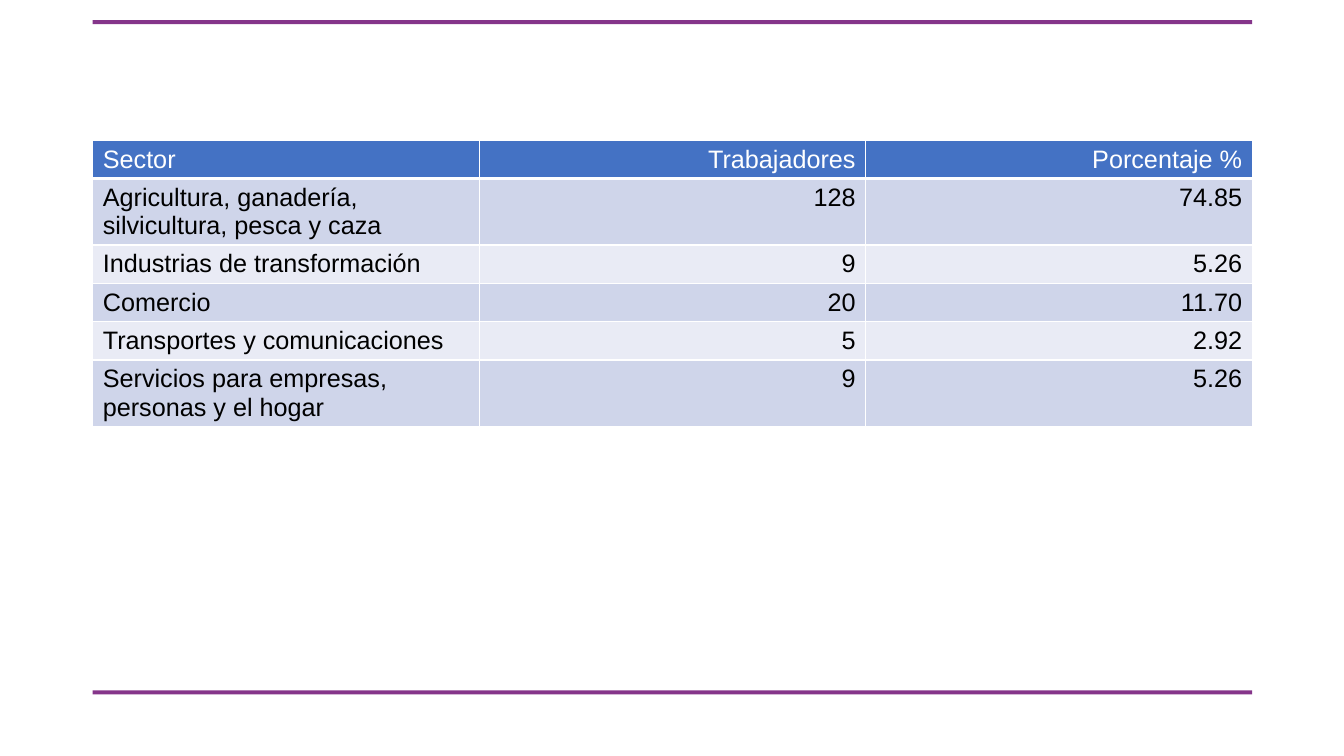
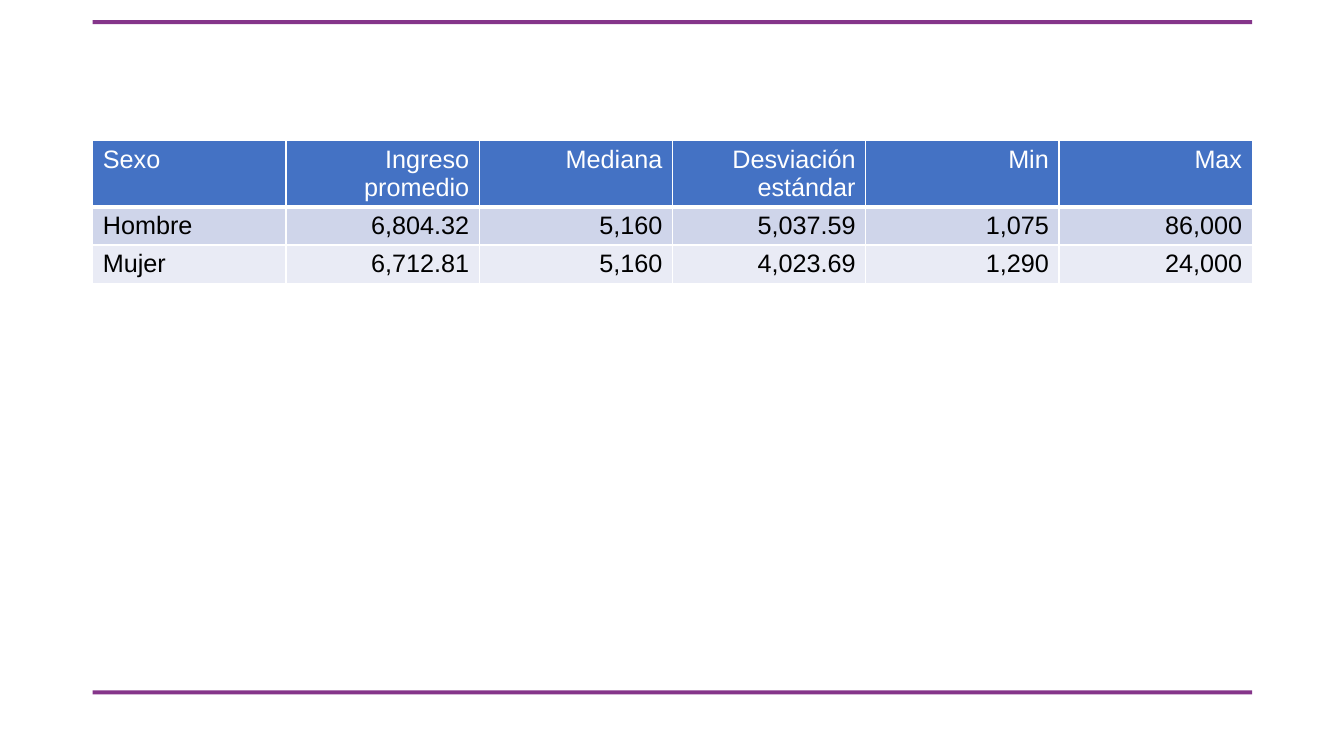
from lxml import etree
from pptx import Presentation
from pptx import util as u
from pptx.dml.color import RGBColor
from pptx.enum import shapes, text
from pptx.oxml import ns

PURPLE, BLUE, WHITE, BLACK = "85358A", "4472C4", "FFFFFF", "000000"
STRIPES = ["CFD5EA", "E9EBF5"]
LEFT, WIDTH = 0.92, 11.5
ROW_H, LINE_H = 0.38, 0.28


def paint(fill, color):
    fill.solid()
    fill.fore_color.rgb = RGBColor.from_string(color)


def write_cell(cell, value, size=18, color=BLACK, fill=WHITE, align=None, bottom=1):
    p = cell.text_frame.paragraphs[0]
    p.alignment = align
    r = p.add_run()
    r.text = value
    r.font.name, r.font.size, r.font.bold = "Arial", u.Pt(size), False
    paint(r.font.fill, color)
    # Borders come before the fill in the cell properties
    tc_pr = cell._tc.get_or_add_tcPr()
    for side, width in (("L", 1), ("R", 1), ("T", 1), ("B", bottom)):
        ln = etree.SubElement(tc_pr, ns.qn(f"a:ln{side}"), w=str(u.Pt(width)))
        solid = etree.SubElement(ln, ns.qn("a:solidFill"))
        etree.SubElement(solid, ns.qn("a:srgbClr"), val=WHITE)
    paint(cell.fill, fill)


# Table contents, with the rows that wrap to two lines
tables = [
    ([
        ["Sector", "Trabajadores", "Porcentaje %"],
        ["Agricultura, ganadería, silvicultura, pesca y caza", "128", "74.85"],
        ["Industrias de transformación", "9", "5.26"],
        ["Comercio", "20", "11.70"],
        ["Transportes y comunicaciones", "5", "2.92"],
        ["Servicios para empresas, personas y el hogar", "9", "5.26"],
    ], {1, 5}),
    ([
        ["Sexo", "Ingreso promedio", "Mediana", "Desviación estándar", "Min", "Max"],
        ["Hombre", "6,804.32", "5,160", "5,037.59", "1,075", "86,000"],
        ["Mujer", "6,712.81", "5,160", "4,023.69", "1,290", "24,000"],
    ], {0}),
]

prs = Presentation()
prs.slide_width, prs.slide_height = u.Inches(13.33), u.Inches(7.5)

for rows, wrapped in tables:
    s = prs.slides.add_slide(prs.slide_layouts[6])

    # Purple bands at the bottom and top
    for top in (6.85, 0.2):
        band = s.shapes.add_shape(shapes.MSO_SHAPE.RECTANGLE, u.Inches(LEFT),
                                  u.Inches(top), u.Inches(WIDTH), u.Inches(0.04))
        band.shadow.inherit = False
        paint(band.fill, PURPLE)
        band.line.fill.background()

    # Table with equal columns
    n_cols = len(rows[0])
    table = s.shapes.add_table(len(rows), n_cols, u.Inches(LEFT), u.Inches(1.39),
                               u.Inches(WIDTH), u.Inches(ROW_H * len(rows))).table
    for col in table.columns:
        col.width = u.Inches(WIDTH / n_cols)
    for i, row in enumerate(rows):
        table.rows[i].height = u.Inches(ROW_H + LINE_H * (i in wrapped))
        if i == 0:
            look = dict(color=WHITE, fill=BLUE, bottom=3)
        else:
            look = dict(fill=STRIPES[(i - 1) % 2])
        for j, value in enumerate(row):
            align = text.PP_ALIGN.RIGHT if j else text.PP_ALIGN.LEFT
            write_cell(table.cell(i, j), value, align=align, **look)

prs.save("out.pptx")
